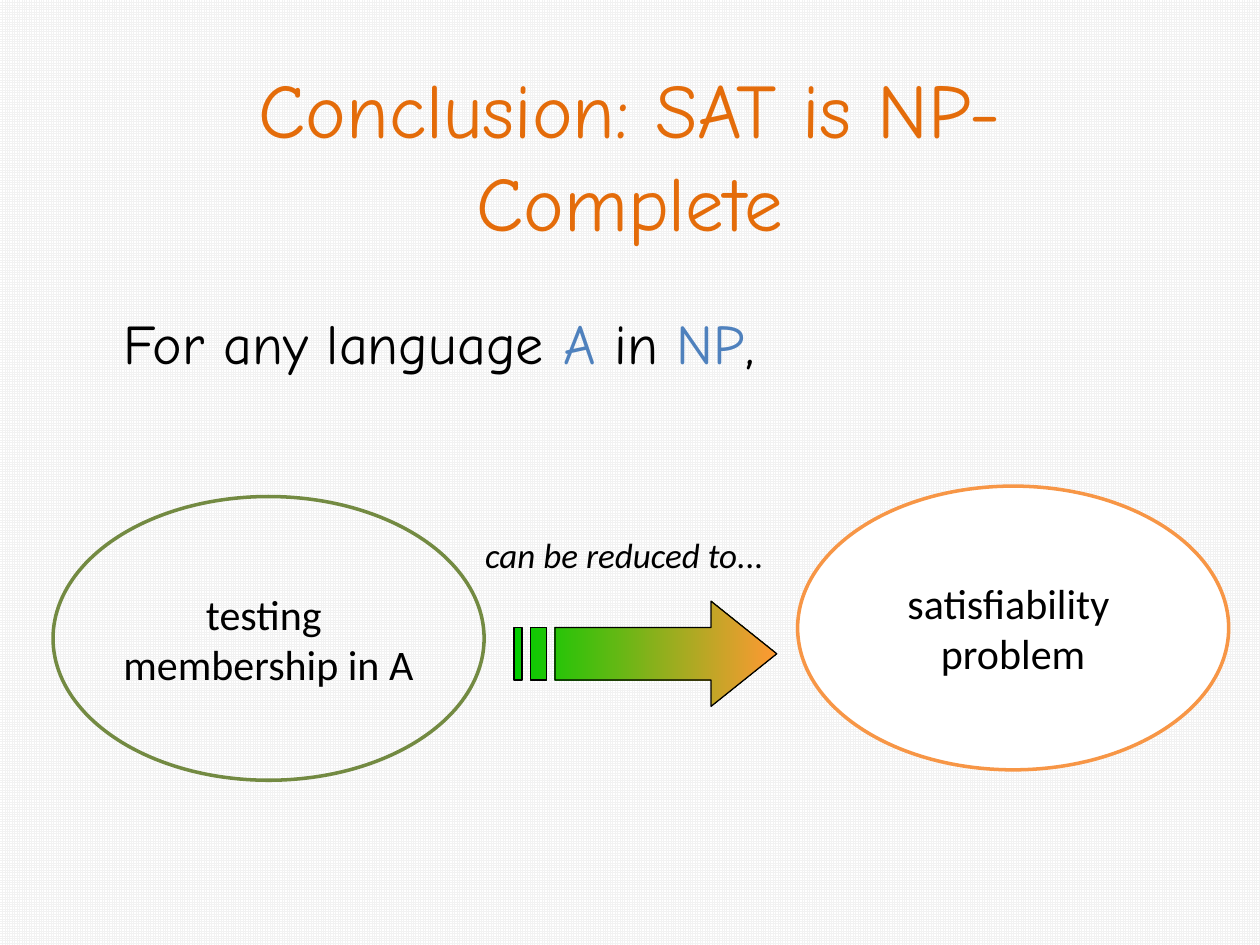
import dataclasses

import pptx
import pptx.dml.color
import pptx.enum.dml
import pptx.enum.shapes
import pptx.enum.text
import pptx.util

Cm = pptx.util.Cm
Pt = pptx.util.Pt
Align = pptx.enum.text.PP_ALIGN
Anchor = pptx.enum.text.MSO_ANCHOR


@dataclasses.dataclass(frozen=True)
class Theme:
    heading_font: str = "Comic Neue"
    label_font: str = "Calibri"
    title_size: int = 44
    statement_size: int = 32
    problem_size: int = 24
    caption_size: int = 20
    ink: str = "000000"
    paper: str = "FFFFFF"
    grid: str = "F2F2F2"
    title: str = "E46C0A"
    symbol: str = "4F81BD"
    membership: str = "738A42"
    satisfiability: str = "F79646"
    arrow_start: str = "00CC00"
    arrow_end: str = "FF9933"


theme = Theme()

TEXTS = [
    {"at": (1.9, 1.12, 21.59, 3.18), "align": Align.CENTER,
     "font": {"name": theme.heading_font, "size": Pt(theme.title_size)},
     "runs": [("Conclusion: SAT is NP-Complete", theme.title)]},
    {"at": (2.24, 6.1, 21.59, 1.9), "align": Align.LEFT,
     "font": {"name": theme.heading_font, "size": Pt(theme.statement_size)},
     "runs": [("For any language ", theme.ink), ("A", theme.symbol),
              (" in ", theme.ink), ("NP", theme.symbol), (",", theme.ink)]},
    {"at": (9.53, 10.64, 7.42, 1.09), "align": Align.LEFT,
     "font": {"name": theme.label_font, "size": Pt(theme.caption_size), "italic": True},
     "runs": [("can be reduced to...", theme.ink)]},
]
PROBLEM_SIZE = (8.69, 5.72)
PROBLEMS = [
    {"at": (1.07, 10.01), "lines": ["testing ", "membership in A"],
     "outline": theme.membership, "fill": None},
    {"at": (16.08, 9.8), "lines": ["satisfiability ", "problem"],
     "outline": theme.satisfiability, "fill": theme.paper},
]
PROBLEM_FONT = {"name": theme.label_font, "size": Pt(theme.problem_size)}
ARROW = (10.36, 12.12, 5.3, 2.12)


def rgb(value):
    return pptx.dml.color.RGBColor.from_string(value)


def apply(target, values):
    for name, value in values.items():
        setattr(target, name, value)


def write(paragraph, runs, font, align):
    paragraph.alignment = align
    for words, color in runs:
        run = paragraph.add_run()
        run.text = words
        apply(run.font, font)
        run.font.color.rgb = rgb(color)


def outline(shape, color, width):
    shape.shadow.inherit = False
    shape.line.color.rgb = rgb(color)
    shape.line.width = Pt(width)


def add_text(slide, item):
    frame = slide.shapes.add_textbox(*map(Cm, item["at"])).text_frame
    frame.word_wrap = True
    write(frame.paragraphs[0], item["runs"], item["font"], item["align"])


def add_problem(slide, item):
    ellipse = slide.shapes.add_shape(
        pptx.enum.shapes.MSO_SHAPE.OVAL, *map(Cm, item["at"] + PROBLEM_SIZE))
    outline(ellipse, item["outline"], 2)
    if item["fill"]:
        ellipse.fill.solid()
        ellipse.fill.fore_color.rgb = rgb(item["fill"])
    else:
        ellipse.fill.background()
    frame = ellipse.text_frame
    apply(frame, {"word_wrap": False, "vertical_anchor": Anchor.MIDDLE})
    for index, line in enumerate(item["lines"]):
        paragraph = frame.add_paragraph() if index else frame.paragraphs[0]
        write(paragraph, [(line, theme.ink)], PROBLEM_FONT, Align.CENTER)


def add_arrow(slide):
    left, top, width, height = ARROW
    unit = width / 32
    upper, middle, lower = (top + height * part / 4 for part in (1, 2, 3))
    neck = left + width * 3 / 4
    body = left + 5 * unit
    contours = [[(neck, top), (neck, upper), (body, upper), (body, lower),
                 (neck, lower), (neck, top + height), (left + width, middle)]]
    for start, end in ((2, 4), (0, 1)):
        near, far = left + start * unit, left + end * unit
        contours.append([(near, upper), (near, lower), (far, lower), (far, upper)])
    builder = None
    for contour in contours:
        first, *rest = [(Cm(x), Cm(y)) for x, y in contour]
        if builder is None:
            builder = slide.shapes.build_freeform(*first)
        else:
            builder.move_to(*first)
        builder.add_line_segments(rest, close=True)
    arrow = builder.convert_to_shape()
    outline(arrow, theme.ink, 0.75)
    arrow.fill.gradient()
    arrow.fill.gradient_angle = 0
    for stop, color in zip(arrow.fill.gradient_stops, (theme.arrow_start, theme.arrow_end)):
        stop.color.rgb = rgb(color)


deck = pptx.Presentation()
apply(deck, {"slide_width": Cm(25.4), "slide_height": Cm(19.05)})
slide = deck.slides.add_slide(deck.slide_layouts[6])
backdrop = slide.background.fill
backdrop.patterned()
backdrop.pattern = pptx.enum.dml.MSO_PATTERN.SMALL_GRID
backdrop.fore_color.rgb = rgb(theme.grid)
backdrop.back_color.rgb = rgb(theme.paper)

title, statement, caption = TEXTS
membership, satisfiability = PROBLEMS
add_text(slide, title)
add_text(slide, statement)
add_problem(slide, membership)
add_arrow(slide)
add_text(slide, caption)
add_problem(slide, satisfiability)
deck.save("out.pptx")
